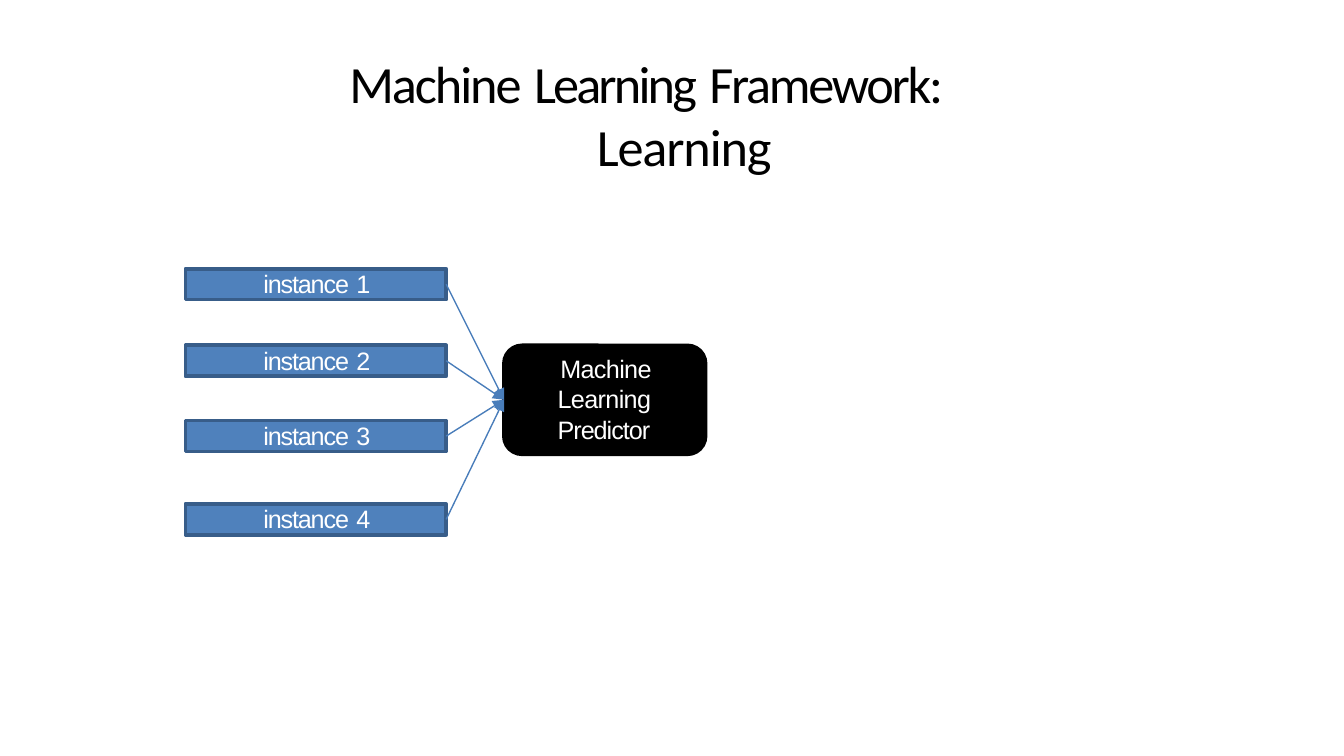
from lxml import etree
from pptx import Presentation
from pptx.dml.color import RGBColor
from pptx.enum.shapes import MSO_CONNECTOR, MSO_SHAPE
from pptx.enum.text import MSO_ANCHOR, MSO_AUTO_SIZE, PP_ALIGN
from pptx.oxml.ns import qn
from pptx.util import Inches, Pt

RECTANGLE = MSO_SHAPE.RECTANGLE
ROUNDED = MSO_SHAPE.ROUNDED_RECTANGLE
STRAIGHT = MSO_CONNECTOR.STRAIGHT
TOP, MIDDLE = MSO_ANCHOR.TOP, MSO_ANCHOR.MIDDLE
LEFT = PP_ALIGN.LEFT
GROW = MSO_AUTO_SIZE.SHAPE_TO_FIT_TEXT
BLACK = RGBColor(0x00, 0x00, 0x00)
WHITE = RGBColor(0xFF, 0xFF, 0xFF)
BLUE = RGBColor(0x4F, 0x81, 0xBC)
DARK_BLUE = RGBColor(0x38, 0x5D, 0x89)
ARROW_BLUE = RGBColor(0x49, 0x7D, 0xBA)
RIGHT_SIDE, LEFT_SIDE = 3, 1
SLIDE_WIDTH = 10
SLIDE_HEIGHT = SLIDE_WIDTH * 9 / 16
INSTANCE_LEFT, INSTANCE_WIDTH, INSTANCE_HEIGHT = 1.38, 1.94, 0.23
INSTANCE_TOPS = (2, 2.57, 3.13, 3.75)


def write_text(shape, runs, font="Arial", size=13.5, color=WHITE, anchor=TOP,
               insets=(0, 0, 0, 0), indent=(0, 0, 0), line_spacing=None, space_before=0):
    """Fill a shape with runs given as (text, letter spacing in points)."""
    frame = shape.text_frame
    frame.word_wrap = True
    frame.vertical_anchor = anchor
    (frame.margin_left, frame.margin_top,
     frame.margin_right, frame.margin_bottom) = map(Inches, insets)
    paragraph = frame.paragraphs[0]
    paragraph.alignment = LEFT
    paragraph.line_spacing = line_spacing
    paragraph.space_before = Pt(space_before)
    properties = paragraph._p.get_or_add_pPr()
    for name, value in zip(("marL", "marR", "indent"), indent):
        properties.set(name, str(Inches(value)))
    for text, spacing in runs:
        run = paragraph.add_run()
        run.text = text
        run.font.name = font
        run.font.size = Pt(size)
        run.font.color.rgb = color
        run._r.get_or_add_rPr().set("spc", str(round(spacing * 100)))


def add_box(slide, kind, left, top, width, height, fill, line):
    """Add a filled and outlined box without a shadow."""
    box = slide.shapes.add_shape(kind, *map(Inches, (left, top, width, height)))
    box.shadow.inherit = False
    box.fill.solid()
    box.fill.fore_color.rgb = fill
    box.line.color.rgb = line
    box.line.width = Pt(2)
    return box


def add_arrow(slide, source, target):
    """Join the right side of one box to the left side of another."""
    arrow = slide.shapes.add_connector(STRAIGHT, 0, 0, 0, 0)
    arrow.begin_connect(source, RIGHT_SIDE)
    arrow.end_connect(target, LEFT_SIDE)
    arrow.line.color.rgb = ARROW_BLUE
    arrow.line.width = Pt(0.75)
    etree.SubElement(arrow.line._get_or_add_ln(), qn("a:tailEnd"), type="triangle")
    etree.SubElement(arrow._element.spPr, qn("a:effectLst"))


def add_title(slide):
    """Place the title with its second line indented further."""
    title = slide.shapes.title
    title.left, title.top, title.width, title.height = map(Inches, (1.62, 0.61, 6.75, 0.47))
    runs = (("Machine", -1.1), (" ", 0.4), ("Learning", -1.5), (" ", 0.4),
            ("Framework: ", -1.2), ("Learning", -0.6))
    write_text(title, runs, font="Calibri", size=28, color=BLACK, anchor=MIDDLE,
               insets=(0, 0, 0, 0), indent=(2.82, 0.5, -1.84),
               line_spacing=1.01, space_before=0.5)
    title.text_frame.auto_size = GROW


def main():
    """Build the slide and save it."""
    presentation = Presentation()
    presentation.slide_width = Inches(SLIDE_WIDTH)
    presentation.slide_height = Inches(SLIDE_HEIGHT)
    slide = presentation.slides.add_slide(presentation.slide_layouts[5])
    add_title(slide)
    predictor = add_box(slide, ROUNDED, 3.75, 2.57, 1.5, 0.81, BLACK, BLACK)
    write_text(predictor, (("Machine Learning ", -0.3), ("Predictor", -0.5)), anchor=MIDDLE,
               insets=(0.35, 0, 0.25, 0.02), indent=(0.01, 0, 0.02), line_spacing=1.01)
    for number, top in enumerate(INSTANCE_TOPS, start=1):
        instance = add_box(slide, RECTANGLE, INSTANCE_LEFT, top,
                           INSTANCE_WIDTH, INSTANCE_HEIGHT, BLUE, DARK_BLUE)
        write_text(instance, (("instance", -0.6), (" ", 0.2), (str(number), -0.4)),
                   indent=(0.58, 0, 0), line_spacing=Pt(16))
        add_arrow(slide, instance, predictor)
    presentation.save("out.pptx")


if __name__ == "__main__":
    main()
